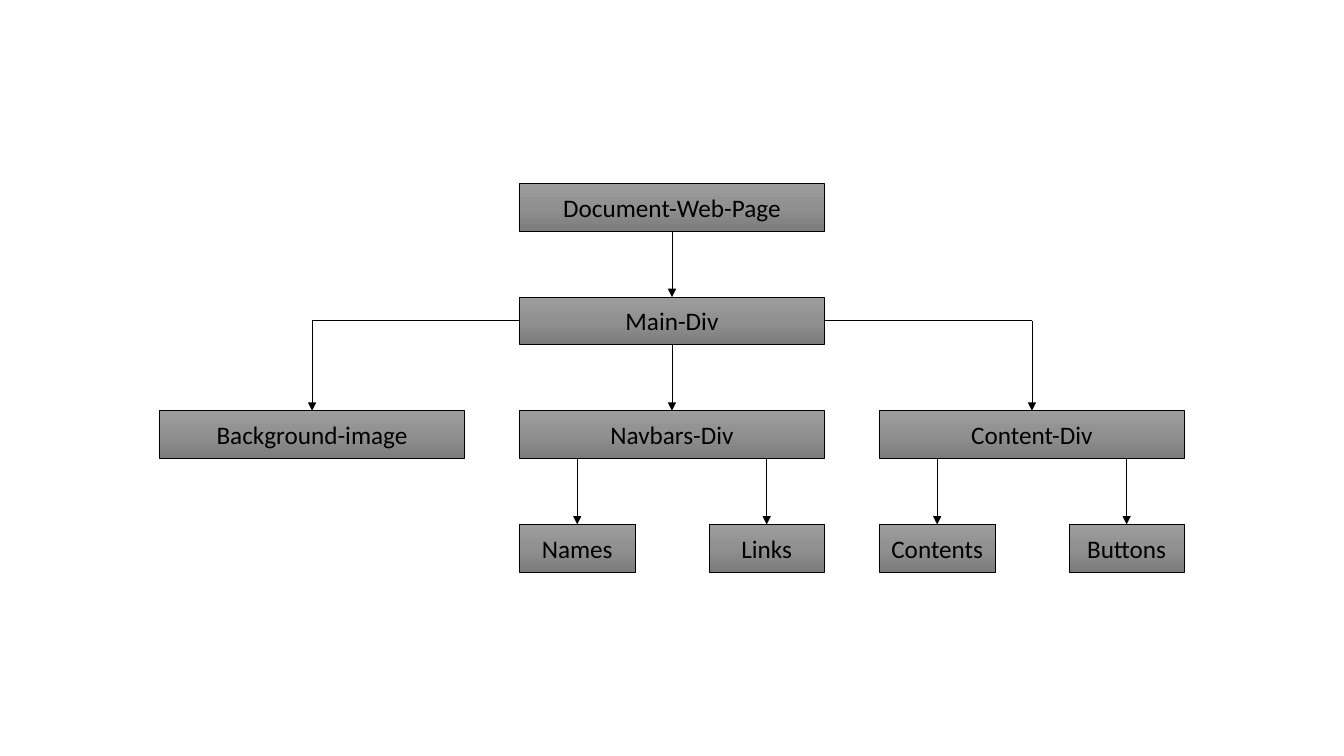
from copy import deepcopy
from dataclasses import dataclass
from typing import Optional

from lxml import etree
from pptx import Presentation
from pptx import util as u
from pptx.dml.color import RGBColor
from pptx.enum import shapes, text
from pptx.oxml import ns
from pptx.shapes.autoshape import Shape
from pptx.shapes.connector import Connector
from pptx.slide import Slide

COLORS = {"top": "9D9D9D", "middle": "909090", "bottom": "7C7C7C", "ink": "000000"}
LEFT, TOP = 114, 131
COLUMN_STEP, ROW_STEP = 257.1, 81.2
WIDE, NARROW, HEIGHT = 217.8, 82.5, 34
TOP_SIDE, LEFT_SIDE, BOTTOM_SIDE, RIGHT_SIDE = range(4)


@dataclass
class Node:
    label: str
    column: int
    row: int
    parent: Optional[str] = None
    width: float = WIDE
    align_right: bool = False

    @property
    def x(self) -> float:
        indent = WIDE - self.width if self.align_right else 0
        return LEFT + self.column * COLUMN_STEP + indent

    @property
    def y(self) -> float:
        return TOP + self.row * ROW_STEP

    @property
    def center(self) -> float:
        return self.x + self.width / 2


NODES = [
    Node("Document-Web-Page", 1, 0),
    Node("Main-Div", 1, 1, "Document-Web-Page"),
    Node("Background-image", 0, 2, "Main-Div"),
    Node("Navbars-Div", 1, 2, "Main-Div"),
    Node("Content-Div", 2, 2, "Main-Div"),
    Node("Names", 1, 3, "Navbars-Div", NARROW),
    Node("Links", 1, 3, "Navbars-Div", NARROW, True),
    Node("Contents", 2, 3, "Content-Div", NARROW),
    Node("Buttons", 2, 3, "Content-Div", NARROW, True),
]


def rgb(name: str) -> RGBColor:
    return RGBColor.from_string(COLORS[name])


def write(shape: Shape, content: str, *, size: float = 18,
          font: str = "Calibri", color: str = "ink") -> None:
    frame = shape.text_frame
    frame.word_wrap = True
    frame.margin_left = frame.margin_right = u.Pt(0)
    frame.vertical_anchor = text.MSO_ANCHOR.MIDDLE
    paragraph = frame.paragraphs[0]
    paragraph.alignment = text.PP_ALIGN.CENTER
    run = paragraph.add_run()
    run.text = content
    run.font.size = u.Pt(size)
    run.font.name = font
    run.font.color.rgb = rgb(color)


def fill_gradient(shape: Shape) -> None:
    shape.fill.gradient()
    shape.fill.gradient_angle = 270
    stop_list = shape._element.spPr.find(".//" + ns.qn("a:gsLst"))
    stop_list.insert(1, deepcopy(stop_list[0]))
    stops = zip(shape.fill.gradient_stops, ("top", "middle", "bottom"), (0, 0.5, 1))
    for stop, color, position in stops:
        stop.color.rgb = rgb(color)
        stop.position = position


def draw_box(slide: Slide, node: Node) -> Shape:
    shape = slide.shapes.add_shape(
        shapes.MSO_SHAPE.RECTANGLE, u.Pt(node.x), u.Pt(node.y),
        u.Pt(node.width), u.Pt(HEIGHT))
    shape.shadow.inherit = False
    fill_gradient(shape)
    shape.line.color.rgb = rgb("ink")
    shape.line.width = u.Pt(0.5)
    write(shape, node.label)
    return shape


def draw_line(slide: Slide, start: tuple[float, float], end: tuple[float, float],
              *, arrow: bool = True) -> Connector:
    connector = slide.shapes.add_connector(
        shapes.MSO_CONNECTOR.STRAIGHT, *(u.Pt(value) for value in start + end))
    connector.line.color.rgb = rgb("ink")
    connector.line.width = u.Pt(0.5)
    if arrow:
        line = connector.line._get_or_add_ln()
        etree.SubElement(line, ns.qn("a:tailEnd"), type="triangle")
    etree.SubElement(connector._element.spPr, ns.qn("a:effectLst"))
    return connector


def link(slide: Slide, parent: Node, child: Node, boxes: dict[str, Shape]) -> None:
    start_y = parent.y + HEIGHT
    if child.column != parent.column:
        start_y = parent.y + HEIGHT / 2
        leftward = child.column < parent.column
        side_x = parent.x if leftward else parent.x + parent.width
        branch = draw_line(slide, (side_x, start_y), (child.center, start_y), arrow=False)
        branch.begin_connect(boxes[parent.label], LEFT_SIDE if leftward else RIGHT_SIDE)
    arrow = draw_line(slide, (child.center, start_y), (child.center, child.y))
    if child.center == parent.center:
        arrow.begin_connect(boxes[parent.label], BOTTOM_SIDE)
    arrow.end_connect(boxes[child.label], TOP_SIDE)


def main() -> None:
    presentation = Presentation()
    presentation.slide_width = u.Pt(960)
    presentation.slide_height = u.Pt(540)
    slide = presentation.slides.add_slide(presentation.slide_layouts[6])
    nodes = {node.label: node for node in NODES}
    boxes = {node.label: draw_box(slide, node) for node in NODES}
    for node in NODES:
        if node.parent:
            link(slide, nodes[node.parent], node, boxes)
    presentation.save("out.pptx")


if __name__ == "__main__":
    main()
